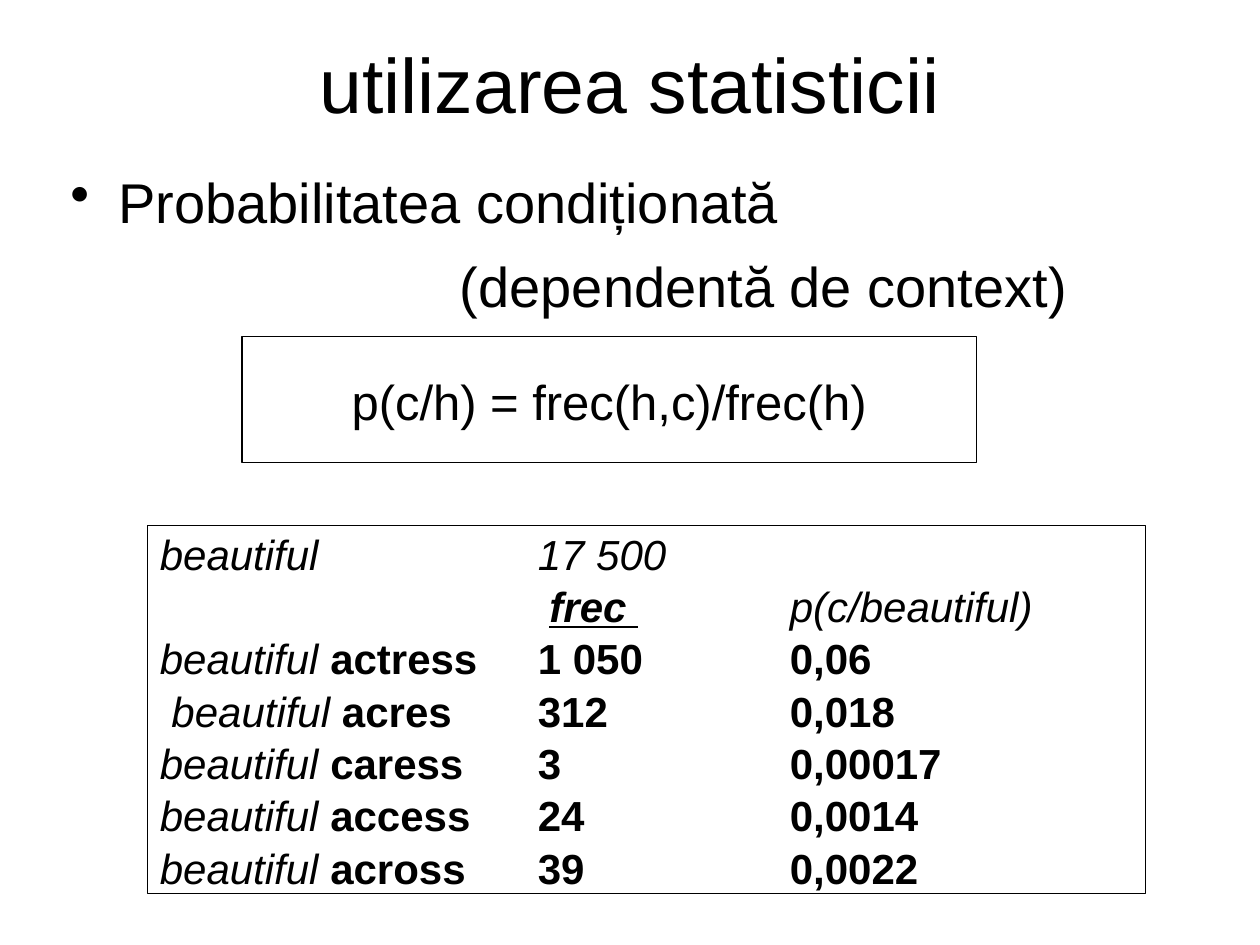
from dataclasses import dataclass

from lxml import etree
from pptx import Presentation
from pptx.dml.color import RGBColor
from pptx.enum import shapes, text
from pptx.oxml import ns
from pptx.util import Inches, Pt


@dataclass(frozen=True)
class Theme:
    font: str = "Arial"
    ink: RGBColor = RGBColor(0, 0, 0)
    paper: RGBColor = RGBColor(255, 255, 255)
    title: int = 44
    body: int = 32
    formula: int = 28
    table: int = 24
    line: float = 0.75
    spacing: float = 1.04


THEME = Theme()
FREQUENCIES = [
    ("beautiful ", "actress", "1 050", "0,06"),
    (" beautiful ", "acres", "312", "0,018"),
    ("beautiful ", "caress", "3", "0,00017"),
    ("beautiful ", "access", "24", "0,0014"),
    ("beautiful ", "across", "39", "0,0022"),
]


def add_element(parent, tag, **attributes):
    return etree.SubElement(parent, ns.qn(tag), **attributes)


def set_indent(p, left, first=0):
    pPr = p._p.get_or_add_pPr()
    pPr.set("marL", str(Inches(left)))
    pPr.set("indent", str(Inches(first)))


def add_bullet(p):
    add_element(p._p.get_or_add_pPr(), "a:buChar", char="•")


def add_tabs(p, stops):
    tabs = add_element(p._p.get_or_add_pPr(), "a:tabLst")
    for stop in stops:
        add_element(tabs, "a:tab", pos=str(Inches(stop)), algn="l")


def style_paragraph(p, size, align=text.PP_ALIGN.LEFT):
    p.alignment = align
    p.line_spacing = THEME.spacing
    p.font.name = THEME.font
    p.font.size = Pt(size)
    p.font.color.rgb = THEME.ink


def set_frame(tf, anchor, left=0.1, top=0.05):
    tf.word_wrap = True
    tf.vertical_anchor = anchor
    tf.margin_left, tf.margin_right = Inches(left), Inches(0.1)
    tf.margin_top, tf.margin_bottom = Inches(top), Inches(0.05)


def add_text(s, box, anchor, **margins):
    tf = s.shapes.add_textbox(*map(Inches, box)).text_frame
    set_frame(tf, anchor, **margins)
    return tf


def add_box(s, box):
    sp = s.shapes.add_shape(shapes.MSO_SHAPE.RECTANGLE, *map(Inches, box))
    sp.shadow.inherit = False
    sp.fill.solid()
    sp.fill.fore_color.rgb = THEME.paper
    sp.line.color.rgb = THEME.ink
    sp.line.width = Pt(THEME.line)
    set_frame(sp.text_frame, text.MSO_ANCHOR.MIDDLE)
    return sp.text_frame


def add_title(s):
    tf = add_text(s, (0.5, 0, 9, 1.25), text.MSO_ANCHOR.MIDDLE, top=0.09)
    p = tf.paragraphs[0]
    p.text = "utilizarea statisticii"
    style_paragraph(p, THEME.title, text.PP_ALIGN.CENTER)


def add_body(s):
    tf = add_text(s, (0.5, 1.25, 9, 5.45), text.MSO_ANCHOR.TOP, left=0.06, top=0.06)
    p = tf.paragraphs[0]
    p.text = "Probabilitatea condiționată"
    set_indent(p, 0.38, -0.38)
    add_bullet(p)
    style_paragraph(p, THEME.body)
    p = tf.add_paragraph()
    p.text = "(dependentă de context)"
    set_indent(p, 3.09)
    style_paragraph(p, THEME.body)
    p.space_before = Pt(8)


def add_formula(s):
    p = add_box(s, (1.92, 2.67, 5.83, 1)).paragraphs[0]
    p.text = "p(c/h) = frec(h,c)/frec(h)"
    style_paragraph(p, THEME.formula, text.PP_ALIGN.CENTER)


def add_frequencies(s):
    tf = add_box(s, (1.17, 4.17, 7.92, 2.92))
    rows = [
        [("beautiful\t17 500", "i")],
        [("\t ", "i"), ("frec ", "biu"), ("\tp(c/beautiful)", "i")],
    ]
    for context, *cells in FREQUENCIES:
        rows.append([(context, "i"), ("\t".join(cells), "b")])
    for i, row in enumerate(rows):
        p = tf.add_paragraph() if i else tf.paragraphs[0]
        add_tabs(p, (3, 5))
        style_paragraph(p, THEME.table)
        for words, style in row:
            r = p.add_run()
            r.text = words
            r.font.bold = "b" in style
            r.font.italic = "i" in style
            r.font.underline = "u" in style


def main():
    prs = Presentation()
    prs.slide_width, prs.slide_height = Inches(10), Inches(7.5)
    s = prs.slides.add_slide(prs.slide_layouts[6])
    add_title(s)
    add_body(s)
    add_frequencies(s)
    add_formula(s)
    prs.save("out.pptx")


if __name__ == "__main__":
    main()
